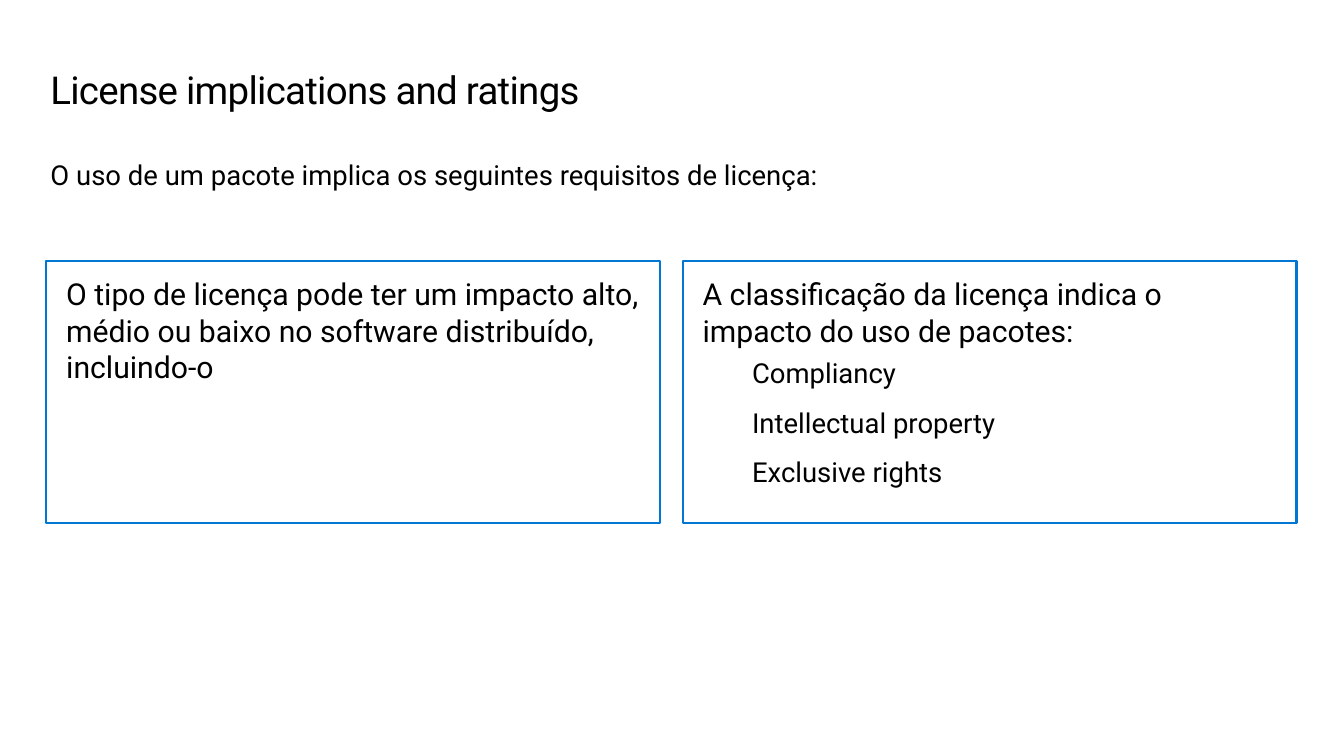
from pptx import Presentation
from pptx.dml.color import RGBColor
from pptx.enum.shapes import MSO_SHAPE
from pptx.enum.text import MSO_ANCHOR, PP_ALIGN
from pptx.util import Inches, Pt

WIDTH, HEIGHT = 13.6, 7.65
TEXT_LEFT, RIGHT = 0.51, 13.12
CARD_LEFT, CARD_TOP, CARD_HEIGHT, CARD_GAP = 0.47, 2.64, 2.65, 0.23
FONT, INK, BORDER = "Roboto", "000000", "0078D3"
TITLE = {"size": 28, "line_spacing": Pt(32), "tracking": -0.5}
INTRO = {"size": 20}
LEAD = {"size": 22}
ITEM = {"size": 20, "space_before": Pt(6), "space_after": Pt(6), "level": 1}

HEADINGS = [
    ("License implications and ratings", TITLE, 0.69, 0.45),
    ("O uso de um pacote implica os seguintes requisitos de licença:", INTRO, 1.6, 0.34),
]
CARDS = [
    [("O tipo de licença pode ter um impacto alto, médio ou baixo no software "
      "distribuído, incluindo-o", LEAD)],
    [("A classificação da licença indica o impacto do uso de pacotes:", LEAD),
     ("Compliancy", ITEM),
     ("Intellectual property", ITEM),
     ("Exclusive rights", ITEM)],
]


def color(value):
    """Turn a hex string into a colour."""
    return RGBColor.from_string(value)


def set_all(target, values):
    """Set each named attribute on the target."""
    for name, value in values.items():
        setattr(target, name, value)


def write(frame, lines, inset_x=0, inset_y=0):
    """Fill a text frame with (text, format) paragraphs."""
    set_all(frame, {
        "word_wrap": True, "vertical_anchor": MSO_ANCHOR.TOP,
        "margin_left": Inches(inset_x), "margin_right": Inches(inset_x),
        "margin_top": Inches(inset_y), "margin_bottom": Inches(inset_y),
    })
    for index, (text, style) in enumerate(lines):
        para = frame.add_paragraph() if index else frame.paragraphs[0]
        layout = {key: value for key, value in style.items() if key not in ("size", "tracking")}
        set_all(para, {"alignment": PP_ALIGN.LEFT, **layout})
        span = para.add_run()
        span.text = text
        set_all(span.font, {"name": FONT, "size": Pt(style["size"])})
        span.font.color.rgb = color(INK)
        if "tracking" in style:
            span._r.get_or_add_rPr().set("spc", str(round(style["tracking"] * 100)))


def add_heading(page, text, style, left, top, width, height):
    """Place one line of heading text in the given box."""
    box = page.shapes.add_textbox(*map(Inches, (left, top, width, height)))
    write(box.text_frame, [(text, style)])


def add_cards(page, cards, left, top, width, height):
    """Split the given box into equal outlined cards."""
    card_width = (width - CARD_GAP * (len(cards) - 1)) / len(cards)
    for column, lines in enumerate(cards):
        card_left = left + column * (card_width + CARD_GAP)
        card = page.shapes.add_shape(
            MSO_SHAPE.RECTANGLE, *map(Inches, (card_left, top, card_width, height)))
        card.shadow.inherit = False
        card.fill.background()
        card.line.color.rgb = color(BORDER)
        card.line.width = Pt(1.5)
        write(card.text_frame, lines, 0.2, 0.15)


def main():
    """Build and save the deck."""
    deck = Presentation()
    set_all(deck, {"slide_width": Inches(WIDTH), "slide_height": Inches(HEIGHT)})
    page = deck.slides.add_slide(deck.slide_layouts[6])
    for text, style, top, height in HEADINGS:
        add_heading(page, text, style, TEXT_LEFT, top, RIGHT - TEXT_LEFT, height)
    add_cards(page, CARDS, CARD_LEFT, CARD_TOP, RIGHT - CARD_LEFT, CARD_HEIGHT)
    deck.save("out.pptx")


if __name__ == "__main__":
    main()
